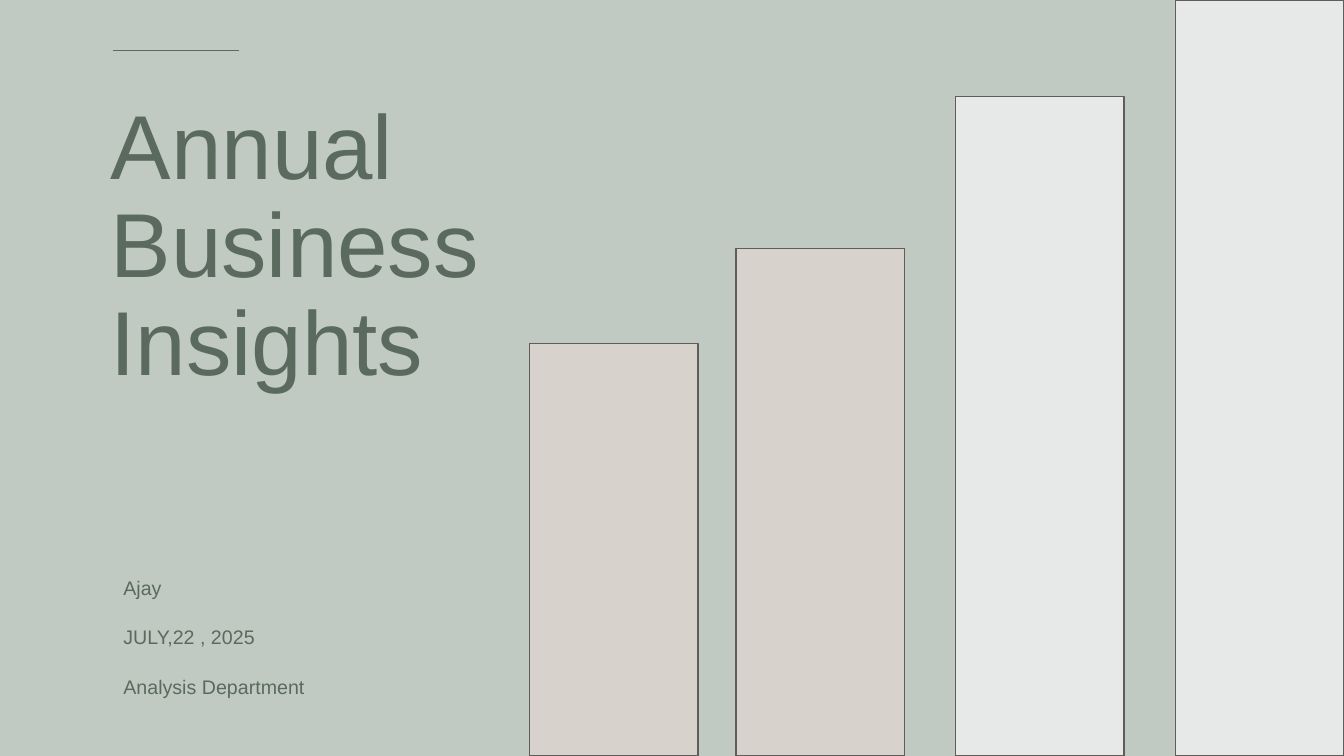
from dataclasses import dataclass

from lxml.etree import SubElement
from pptx import Presentation
from pptx.dml.color import RGBColor
from pptx.enum.shapes import MSO_CONNECTOR, MSO_SHAPE
from pptx.oxml.ns import qn
from pptx.slide import Slide
from pptx.util import Pt


@dataclass(frozen=True)
class Theme:
    background: str = "C0C9C2"
    ink: str = "5B6A5E"
    outline: str = "5F5C5A"
    pale: str = "E6E9E7"
    sand: str = "D8D2CD"
    font: str = "Arial"
    title_size: float = 64.8
    body_size: float = 14


@dataclass(frozen=True)
class Bar:
    left: float
    top: float
    fill: str


@dataclass(frozen=True)
class TextBlock:
    left: float
    top: float
    width: float
    height: float
    paragraphs: tuple[str, ...]
    size: float
    line_spacing: float
    space_before: float


THEME = Theme()
SLIDE_WIDTH, SLIDE_HEIGHT = 960, 540
BAR_WIDTH = 120.5

BARS = (
    Bar(839.5, 0, THEME.pale),
    Bar(682.5, 69, THEME.pale),
    Bar(525.75, 177.5, THEME.sand),
    Bar(378, 245.5, THEME.sand),
)
TITLE = TextBlock(72, 69, 408, 176.5, ("Annual\vBusiness\vInsights",),
                  THEME.title_size, 0.9, 0)
DETAILS = TextBlock(81, 399.5, 253.5, 75.5,
                    ("Ajay", "JULY,22 , 2025", "Analysis Department"),
                    THEME.body_size, 1.5, 10)


def colour(value: str) -> RGBColor:
    return RGBColor.from_string(value)


def add_accent_line(slide: Slide) -> None:
    connector = slide.shapes.add_connector(
        MSO_CONNECTOR.STRAIGHT, Pt(80.75), Pt(36), Pt(170.75), Pt(36))
    connector.line.color.rgb = colour(THEME.ink)
    connector.line.width = Pt(1.25)
    SubElement(connector.element.spPr, qn("a:effectLst"))


def add_bar(slide: Slide, bar: Bar) -> None:
    """Draw a bar that stands on the bottom edge of the slide."""
    shape = slide.shapes.add_shape(
        MSO_SHAPE.RECTANGLE, Pt(bar.left), Pt(bar.top),
        Pt(BAR_WIDTH), Pt(SLIDE_HEIGHT - bar.top))
    shape.shadow.inherit = False
    shape.fill.solid()
    shape.fill.fore_color.rgb = colour(bar.fill)
    shape.line.color.rgb = colour(THEME.outline)
    shape.line.width = Pt(1)


def add_text(slide: Slide, block: TextBlock) -> None:
    shape = slide.shapes.add_textbox(
        Pt(block.left), Pt(block.top), Pt(block.width), Pt(block.height))
    frame = shape.text_frame
    frame.word_wrap = True
    frame.text = "\n".join(block.paragraphs)
    paragraph_format = {
        "line_spacing": block.line_spacing,
        "space_before": Pt(block.space_before),
    }
    font_format = {"name": THEME.font, "size": Pt(block.size)}
    for paragraph in frame.paragraphs:
        for name, value in paragraph_format.items():
            setattr(paragraph, name, value)
        for run in paragraph.runs:
            for name, value in font_format.items():
                setattr(run.font, name, value)
            run.font.color.rgb = colour(THEME.ink)


def main() -> None:
    presentation = Presentation()
    presentation.slide_width = Pt(SLIDE_WIDTH)
    presentation.slide_height = Pt(SLIDE_HEIGHT)
    slide = presentation.slides.add_slide(presentation.slide_layouts[6])
    slide.background.fill.solid()
    slide.background.fill.fore_color.rgb = colour(THEME.background)

    add_accent_line(slide)
    add_text(slide, TITLE)
    add_text(slide, DETAILS)
    for bar in BARS:
        add_bar(slide, bar)
    presentation.save("out.pptx")


if __name__ == "__main__":
    main()
